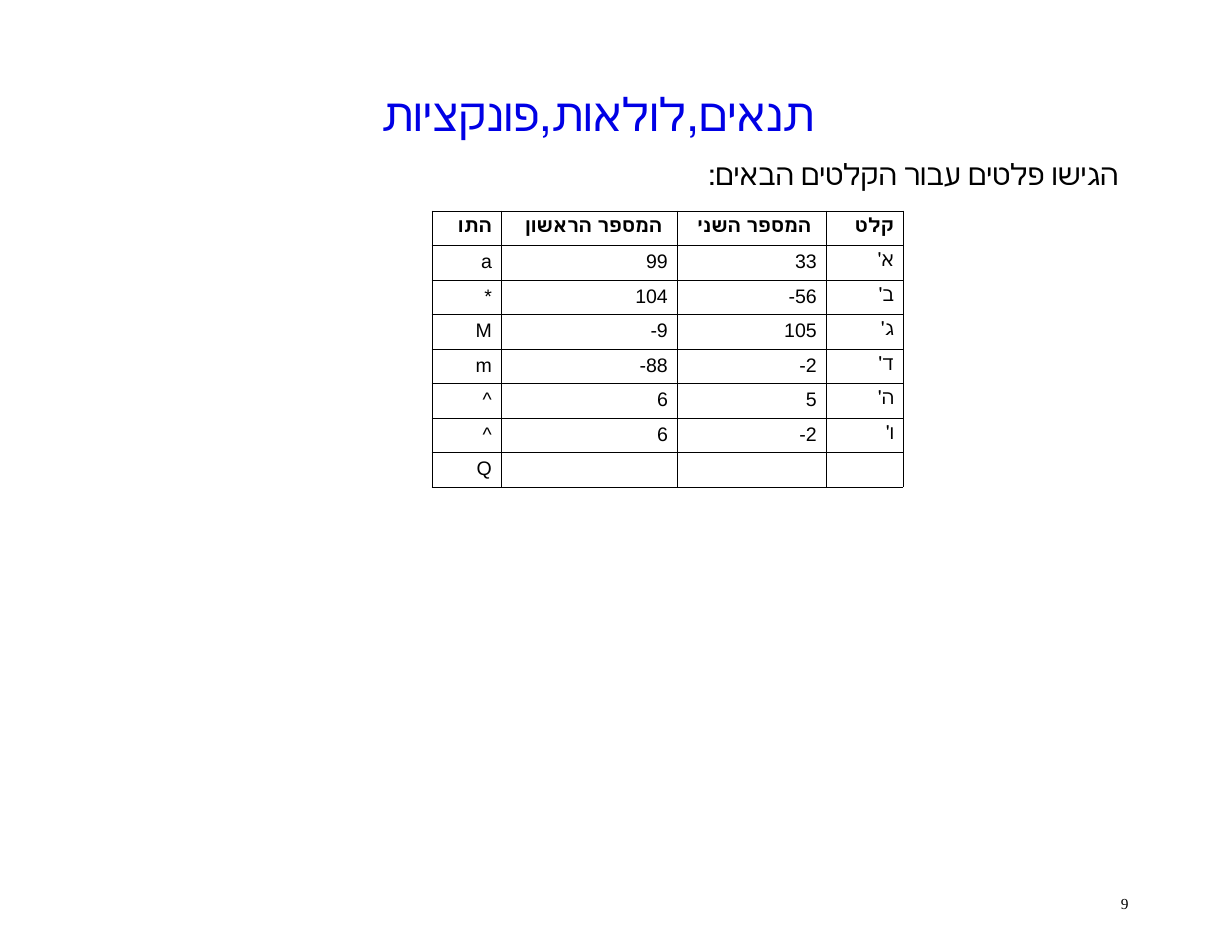
from lxml import etree
from pptx import Presentation
from pptx.dml.color import RGBColor
from pptx.enum.text import MSO_ANCHOR, PP_ALIGN
from pptx.oxml.ns import qn
from pptx.util import Pt

LEFT, CENTER, RIGHT = PP_ALIGN.LEFT, PP_ALIGN.CENTER, PP_ALIGN.RIGHT
TOP, BOTTOM = MSO_ANCHOR.TOP, MSO_ANCHOR.BOTTOM
SERIF, SANS = "Times New Roman", "Arial"
BLACK, BLUE, WHITE = "000000", "0000E5", "FFFFFF"

COLUMN_WIDTHS = [42.4, 108, 91.4, 47.4]
ROW_HEIGHT = 19.4
CELL_SIZE = 12
HEADER = ["התו", "המספר הראשון ", "המספר השני ", "קלט"]
INPUTS = [
    ["a", "99", "33", "א"],
    ["*", "104", "-56", "ב"],
    ["M", "-9", "105", "ג"],
    ["m", "-88", "-2", "ד"],
    ["^", "6", "5", "ה"],
    ["^", "6", "-2", "ו"],
    ["Q", "", "", ""],
]


def color(value):
    return RGBColor.from_string(value)


def add_run(paragraph, text, size, font, ink=BLACK, bold=False):
    run = paragraph.add_run()
    run.text = text
    run.font.size = Pt(size)
    run.font.name = font
    run.font.bold = bold
    run.font.color.rgb = color(ink)


def align(paragraph, alignment, rtl=False):
    paragraph.alignment = alignment
    if rtl:
        paragraph._p.get_or_add_pPr().set("rtl", "1")


def add_text(slide, box, text, size, font, alignment, ink=BLACK,
             anchor=TOP, rtl=False, line_spacing=1, space_before=0):
    frame = slide.shapes.add_textbox(*map(Pt, box)).text_frame
    frame.word_wrap = True
    frame.vertical_anchor = anchor
    frame.margin_left = frame.margin_right = Pt(7.6)
    frame.margin_top = frame.margin_bottom = Pt(3.6)
    paragraph = frame.paragraphs[0]
    align(paragraph, alignment, rtl)
    paragraph.line_spacing = line_spacing
    paragraph.space_before = Pt(space_before)
    add_run(paragraph, text, size, font, ink)


def add_borders(cell):
    properties = cell._tc.get_or_add_tcPr()
    for position, side in enumerate(("lnL", "lnR", "lnT", "lnB")):
        line = etree.Element(qn(f"a:{side}"), w=str(Pt(0.45)))
        fill = etree.SubElement(line, qn("a:solidFill"))
        etree.SubElement(fill, qn("a:srgbClr"), val=BLACK)
        properties.insert(position, line)


def style_cell(cell):
    cell.margin_left = cell.margin_right = Pt(5.6)
    cell.margin_top = cell.margin_bottom = Pt(3.4)
    cell.fill.solid()
    cell.fill.fore_color.rgb = color(WHITE)
    add_borders(cell)


def fill_cell(cell, text, is_header, is_label):
    paragraph = cell.text_frame.paragraphs[0]
    align(paragraph, RIGHT, rtl=is_label and not is_header)
    if not text:
        # Keeps the empty cell as low as the others
        etree.SubElement(paragraph._p, qn("a:endParaRPr"), sz=str(CELL_SIZE * 100))
    elif is_header:
        add_run(paragraph, text, CELL_SIZE, SERIF, bold=True)
    elif is_label:
        add_run(paragraph, text, CELL_SIZE, SERIF)
        add_run(paragraph, "'", CELL_SIZE, SANS)
    else:
        add_run(paragraph, text, CELL_SIZE, SANS)


def add_input_table(slide, left, top):
    rows = [HEADER] + INPUTS
    table = slide.shapes.add_table(
        len(rows), len(HEADER), Pt(left), Pt(top),
        Pt(sum(COLUMN_WIDTHS)), Pt(ROW_HEIGHT * len(rows))).table
    table.first_row = table.horz_banding = False
    for column, width in zip(table.columns, COLUMN_WIDTHS):
        column.width = Pt(width)
    for row_index, row in enumerate(rows):
        table.rows[row_index].height = Pt(ROW_HEIGHT)
        for column_index, text in enumerate(row):
            cell = table.cell(row_index, column_index)
            style_cell(cell)
            fill_cell(cell, text, row_index == 0, column_index == len(HEADER) - 1)


def main():
    presentation = Presentation()
    presentation.slide_width, presentation.slide_height = Pt(756), Pt(576)
    slide = presentation.slides.add_slide(presentation.slide_layouts[6])

    # Page number
    add_text(slide, (542, 547, 158, 19.4), "9", 9.4, SERIF, RIGHT,
             line_spacing=0.8, space_before=9.4)
    # Title
    add_text(slide, (21, 33, 692, 57), "תנאים,לולאות,פונקציות", 28, SERIF,
             CENTER, ink=BLUE, anchor=BOTTOM)
    # Instruction
    add_text(slide, (21, 95, 673, 430.5), "הגישו פלטים עבור הקלטים הבאים:", 18,
             SANS, RIGHT, rtl=True, line_spacing=0.9, space_before=6)
    # Inputs to try
    add_input_table(slide, 265, 129.4)

    presentation.save("out.pptx")


if __name__ == "__main__":
    main()
